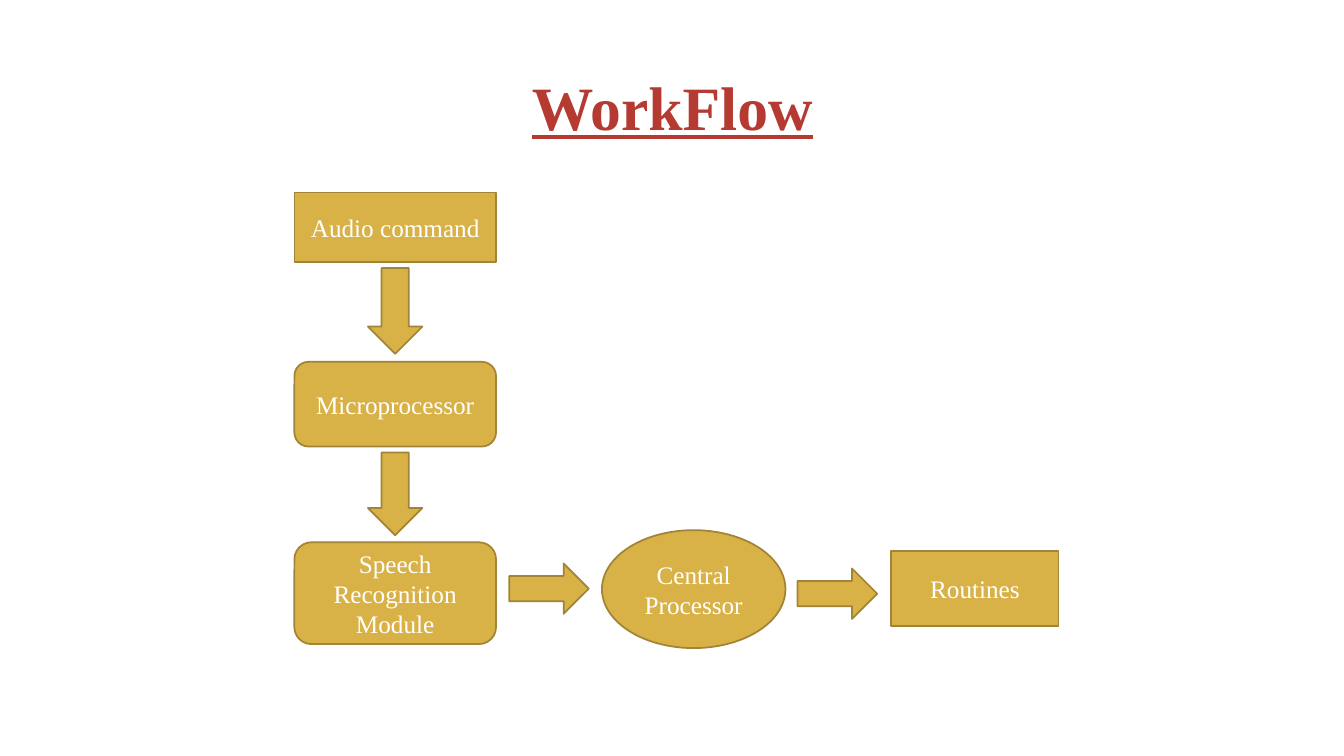
from pptx import Presentation
from pptx.dml.color import RGBColor
from pptx.enum.shapes import MSO_SHAPE as Shape
from pptx.enum.text import MSO_ANCHOR as Anchor, MSO_AUTO_SIZE as Auto, PP_ALIGN as Align
from pptx.util import Inches, Pt

RED = RGBColor(0xB5, 0x3A, 0x31)
GOLD = RGBColor(0xD9, 0xB2, 0x47)
BRONZE = RGBColor(0xA1, 0x84, 0x35)
WHITE = RGBColor(0xFF, 0xFF, 0xFF)

FACE = "Times New Roman"
HEAD = dict(name=FACE, size=Pt(44), bold=True, underline=True)
BODY = dict(name=FACE, size=Pt(18))

LEFT, WIDE = 2.92, 2.0
MID = LEFT + WIDE / 2
DOWN = 0.54


class Flow:
    def __init__(self, slide):
        self.slide = slide

    def label(self, frame, text, style, color, anchor):
        """Fill a text frame with one centred, styled paragraph."""
        frame.word_wrap = True
        frame.auto_size = Auto.NONE
        frame.vertical_anchor = anchor
        para = frame.paragraphs[0]
        para.alignment = Align.CENTER
        run = para.add_run()
        run.text = text
        for key, value in style.items():
            setattr(run.font, key, value)
        run.font.color.rgb = color

    def title(self, text, left, top, width, height):
        head = self.slide.shapes.title
        head.left, head.top = Inches(left), Inches(top)
        head.width, head.height = Inches(width), Inches(height)
        frame = head.text_frame
        frame.margin_left = frame.margin_right = frame.margin_bottom = Inches(0.1)
        frame.margin_top = Inches(0.17)
        self.label(frame, text, HEAD, RED, Anchor.TOP)

    def shape(self, kind, left, top, width, height):
        item = self.slide.shapes.add_shape(
            kind, Inches(left), Inches(top), Inches(width), Inches(height))
        item.shadow.inherit = False
        item.fill.solid()
        item.fill.fore_color.rgb = GOLD
        item.line.color.rgb = BRONZE
        item.line.width = Pt(1.25)
        return item

    def step(self, text, kind, *box):
        item = self.shape(kind, *box)
        self.label(item.text_frame, text, BODY, WHITE, Anchor.MIDDLE)


def main():
    deck = Presentation()
    deck.slide_width, deck.slide_height = Inches(13.33), Inches(7.5)
    flow = Flow(deck.slides.add_slide(deck.slide_layouts[5]))
    flow.title("WorkFlow", 0.53, 0.51, 12.28, 0.84)

    for text, kind, top, height in (
        ("Audio command", Shape.RECTANGLE, 1.91, 0.69),
        ("Microprocessor", Shape.ROUNDED_RECTANGLE, 3.59, 0.84),
        ("Speech Recognition Module", Shape.ROUNDED_RECTANGLE, 5.38, 1.01),
    ):
        flow.step(text, kind, LEFT, top, WIDE, height)
    flow.step("Central Processor", Shape.OVAL, 5.97, 5.26, 1.82, 1.17)
    flow.step("Routines", Shape.RECTANGLE, 8.84, 5.47, 1.66, 0.74)

    for top, height in ((2.66, 0.85), (4.49, 0.82)):
        flow.shape(Shape.DOWN_ARROW, MID - DOWN / 2, top, DOWN, height)
    for left, top in ((5.05, 5.59), (7.91, 5.64)):
        flow.shape(Shape.RIGHT_ARROW, left, top, 0.79, 0.5)

    deck.save("out.pptx")


if __name__ == "__main__":
    main()
